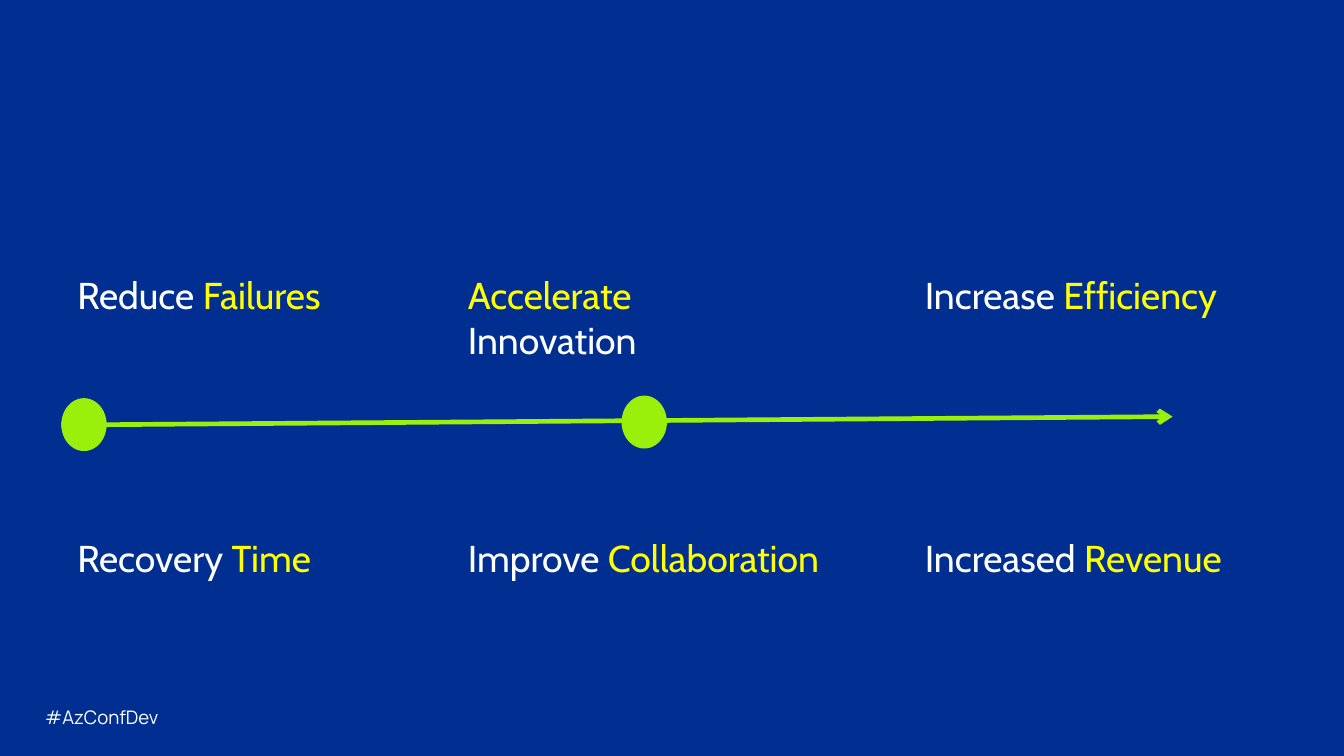
from lxml import etree
from pptx import Presentation
from pptx.dml.color import RGBColor
from pptx.enum.shapes import MSO_CONNECTOR, MSO_SHAPE
from pptx.enum.text import MSO_AUTO_SIZE
from pptx.oxml.ns import qn
from pptx.util import Inches, Pt

STRAIGHT = MSO_CONNECTOR.STRAIGHT
OVAL = MSO_SHAPE.OVAL
GROW = MSO_AUTO_SIZE.SHAPE_TO_FIT_TEXT

COLUMNS, ROWS = 16, 9
BLUE, WHITE, YELLOW, GREEN = "012F91", "FFFFFF", "FFFF00", "9BF00B"


def color(value):
    return RGBColor.from_string(value)


class TimelineSlide:
    """Holds the style and the slide; positions are columns and rows of a 16 by 9 grid."""

    label_font, footer_font = "Cabin", "Manrope"
    label_size, footer_size = 32, 16

    def __init__(self, presentation):
        self.column = presentation.slide_width / COLUMNS
        self.row = presentation.slide_height / ROWS
        self.slide = presentation.slides.add_slide(presentation.slide_layouts[6])
        background = self.slide.background.fill
        background.solid()
        background.fore_color.rgb = color(BLUE)

    def place(self, x, y):
        return round(x * self.column), round(y * self.row)

    def text(self, x, y, width, height, runs, font, size):
        """Add a text box from (words, colour) pairs and return its frame."""
        box = self.slide.shapes.add_textbox(*self.place(x, y), *self.place(width, height))
        frame = box.text_frame
        frame.word_wrap = True
        frame.auto_size = GROW
        for words, run_color in runs:
            run = frame.paragraphs[0].add_run()
            run.text = words
            run.font.name = font
            run.font.size = Pt(size)
            run.font.color.rgb = color(run_color)
        return frame

    def label(self, x, y, width, height, runs):
        frame = self.text(x, y, width, height, runs, self.label_font, self.label_size)
        frame.margin_left = frame.margin_right = 0
        frame.margin_top = frame.margin_bottom = 0

    def footer(self, x, y, width, height, words):
        self.text(x, y, width, height, [(words, WHITE)], self.footer_font, self.footer_size)

    def arrow(self, start, end, weight):
        connector = self.slide.shapes.add_connector(
            STRAIGHT, *self.place(*start), *self.place(*end))
        connector.line.color.rgb = color(GREEN)
        connector.line.width = Pt(weight)
        etree.SubElement(connector.line._get_or_add_ln(), qn("a:tailEnd"), type="arrow")
        etree.SubElement(connector._element.spPr, qn("a:effectLst"))

    def milestone(self, x, y, width, height):
        dot = self.slide.shapes.add_shape(OVAL, *self.place(x, y), *self.place(width, height))
        dot.shadow.inherit = False
        dot.fill.solid()
        dot.fill.fore_color.rgb = color(GREEN)
        dot.line.fill.background()


def main():
    presentation = Presentation()
    presentation.slide_width, presentation.slide_height = Inches(COLUMNS), Inches(ROWS)
    timeline = TimelineSlide(presentation)

    timeline.footer(0.44, 8.35, 2.18, 0.37, "#AzConfDev")
    timeline.arrow((0.73, 5.06), (13.96, 4.96), 4)

    label_width, wide_label, line_height = 3.77, 4.43, 0.54
    above, below = 3.24, 6.37
    left, middle, right = 0.92, 5.57, 11.01
    labels = [
        (left, above, label_width, 1, [("Reduce ", WHITE), ("Failures", YELLOW)]),
        (middle, above, label_width, 2, [("Accelerate", YELLOW), (" Innovation", WHITE)]),
        (right, above, label_width, 1, [("Increase ", WHITE), ("Efficiency", YELLOW)]),
        (left, below, label_width, 1, [("Recovery ", WHITE), ("Time", YELLOW)]),
        (middle, below, wide_label, 1, [("Improve ", WHITE), ("Collaboration", YELLOW)]),
        (right, below, label_width, 1, [("Increased ", WHITE), ("Revenue", YELLOW)]),
    ]
    for x, y, width, lines, runs in labels:
        timeline.label(x, y, width, lines * line_height, runs)

    for x, y in ((0.73, 4.74), (7.4, 4.71)):
        timeline.milestone(x, y, 0.54, 0.63)

    presentation.save("out.pptx")


if __name__ == "__main__":
    main()
